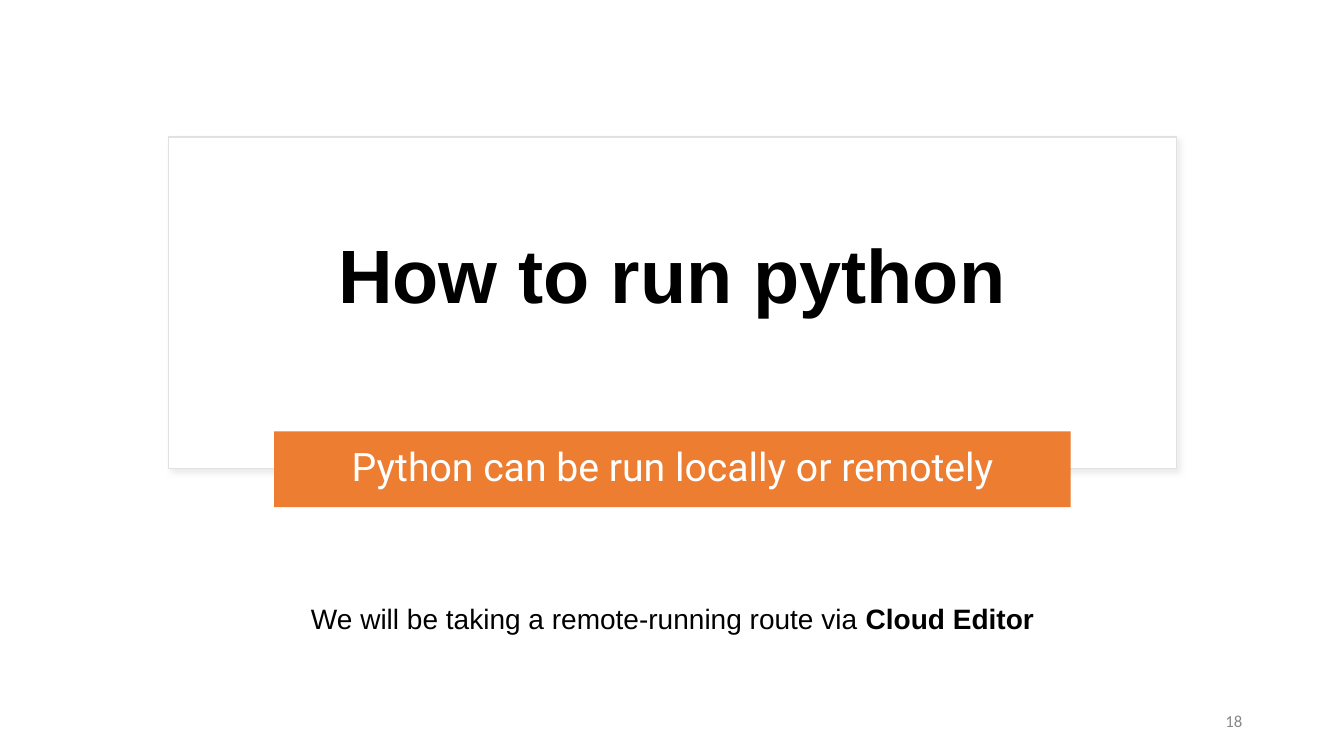
from lxml import etree
from pptx import Presentation
from pptx.dml.color import RGBColor
from pptx.enum.shapes import MSO_SHAPE
from pptx.enum.text import MSO_ANCHOR, PP_ALIGN
from pptx.oxml.ns import qn
from pptx.util import Inches, Pt

RECTANGLE, ROUNDED = MSO_SHAPE.RECTANGLE, MSO_SHAPE.ROUNDED_RECTANGLE
TOP, MIDDLE = MSO_ANCHOR.TOP, MSO_ANCHOR.MIDDLE
CENTER, RIGHT = PP_ALIGN.CENTER, PP_ALIGN.RIGHT

COLORS = {
    "paper": "FFFFFF",
    "ink": "000000",
    "edge": "E1E1E1",
    "shade": "D8D8D8",
    "accent": "ED7D31",
    "muted": "888888",
}


def color(name):
    return RGBColor.from_string(COLORS[name])


def add_run(paragraph, text, size=20, font="Arial", ink="ink", bold=False):
    run = paragraph.add_run()
    run.text = text
    run.font.size = Pt(size)
    run.font.name = font
    run.font.bold = bold
    run.font.color.rgb = color(ink)


class SlideBuilder:
    def __init__(self, slide):
        self.slide = slide

    def panel(self, box, fill, preset=RECTANGLE, edge=None):
        panel = self.slide.shapes.add_shape(preset, *map(Inches, box))
        panel.shadow.inherit = False
        panel.fill.solid()
        panel.fill.fore_color.rgb = color(fill)
        if edge:
            panel.line.color.rgb = color(edge)
            panel.line.width = Pt(1)
        else:
            panel.line.fill.background()
        return panel

    def cast_shadow(self, panel, shade, alpha, blur, distance, angle):
        effects = panel.element.spPr.find(qn("a:effectLst"))
        shadow = etree.SubElement(
            effects, qn("a:outerShdw"), blurRad=str(Pt(blur)), dist=str(Pt(distance)),
            dir=str(angle * 60000), algn="tl", rotWithShape="0")
        tint = etree.SubElement(shadow, qn("a:srgbClr"), val=COLORS[shade])
        etree.SubElement(tint, qn("a:alpha"), val=str(alpha * 1000))

    def text(self, box, *parts, align=CENTER, anchor=MIDDLE, spacing=1.0, **style):
        frame = self.slide.shapes.add_textbox(*map(Inches, box)).text_frame
        frame.word_wrap = True
        frame.vertical_anchor = anchor
        paragraph = frame.paragraphs[0]
        paragraph.alignment = align
        paragraph.line_spacing = spacing
        for words, extra in parts:
            add_run(paragraph, words, **style, **extra)


def main():
    deck = Presentation()
    deck.slide_width, deck.slide_height = Inches(13.33), Inches(7.5)
    builder = SlideBuilder(deck.slides.add_slide(deck.slide_layouts[6]))

    title_card = builder.panel((1.67, 1.36, 10, 3.29), "paper", edge="edge")
    builder.cast_shadow(title_card, "shade", alpha=50, blur=4, distance=3, angle=45)
    builder.text((1.97, 1.58, 9.39, 2.38), ("How to run python", {"bold": True}),
                 size=54, spacing=0.9)

    banner = builder.panel((2.72, 4.28, 7.9, 0.75), "accent", preset=ROUNDED)
    banner.adjustments[0] = 0
    builder.text((2.81, 4.33, 7.72, 0.64), ("Python can be run locally or remotely", {}),
                 size=28, font="Roboto", ink="paper", spacing=0.9)

    builder.text((2.78, 5.92, 7.78, 0.44),
                 ("We will be taking a remote-running route via ", {}),
                 ("Cloud Editor", {"bold": True}), anchor=TOP)
    builder.text((9.42, 6.95, 3, 0.4), ("18", {}),
                 align=RIGHT, size=12, font="Calibri", ink="muted")

    deck.save("out.pptx")


if __name__ == "__main__":
    main()
